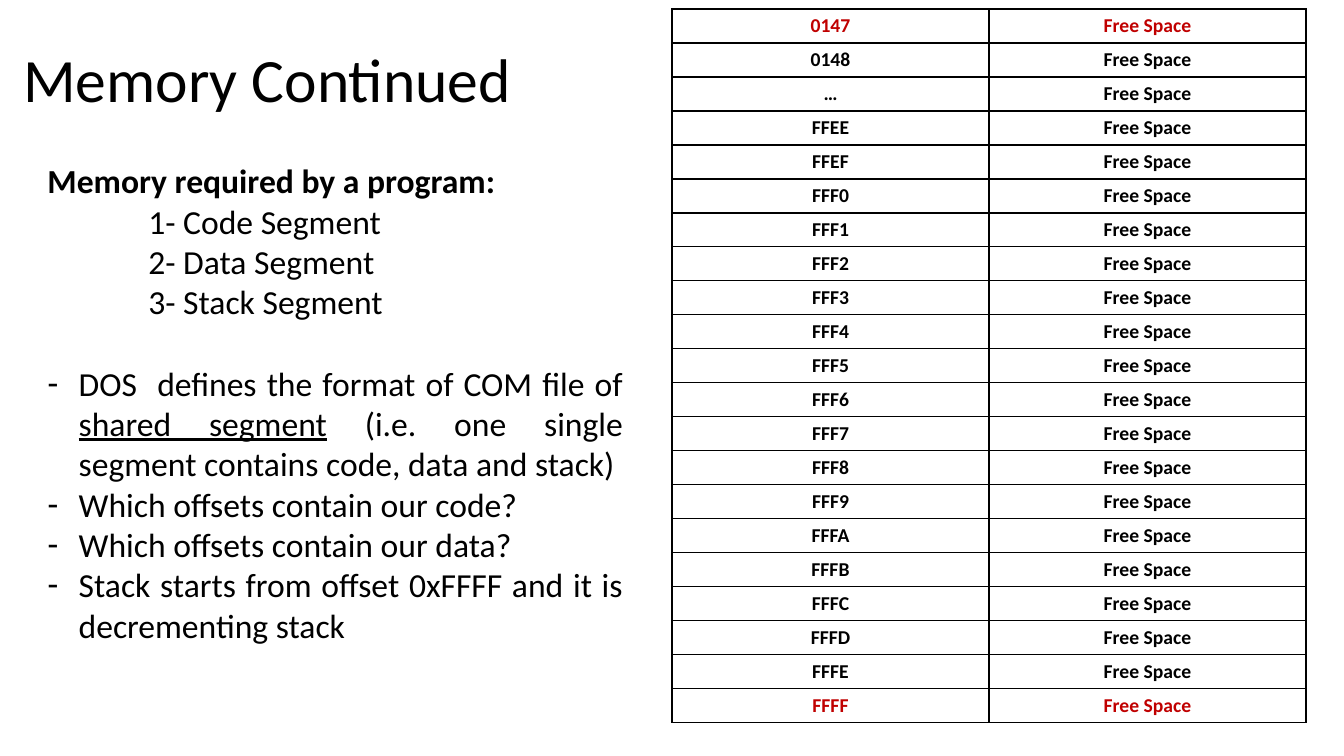
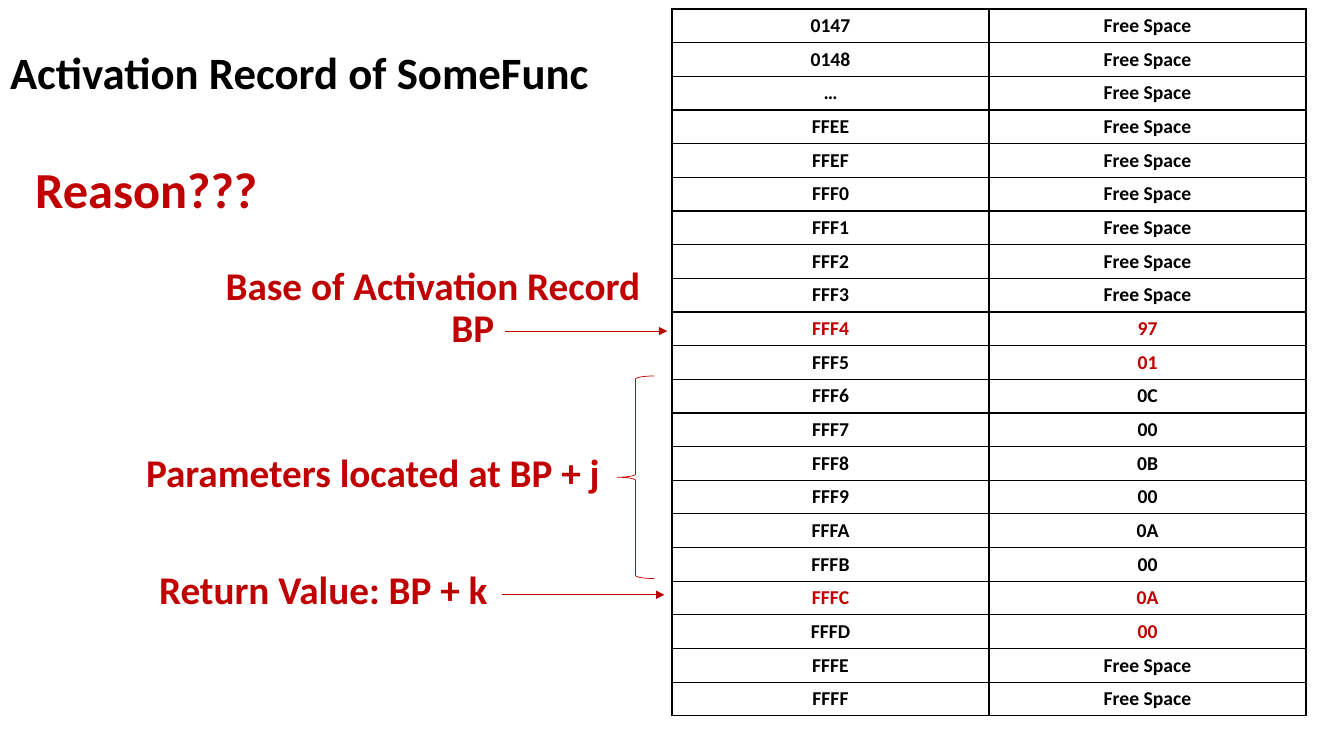
from lxml import etree
from pptx import Presentation
from pptx.dml.color import RGBColor
from pptx.enum.shapes import MSO_CONNECTOR, MSO_SHAPE
from pptx.enum.text import MSO_ANCHOR, MSO_AUTO_SIZE, PP_ALIGN
from pptx.oxml.ns import qn
from pptx.util import Inches, Pt

LEFT, CENTER, JUST = PP_ALIGN.LEFT, PP_ALIGN.CENTER, PP_ALIGN.JUSTIFY
MIDDLE = MSO_ANCHOR.MIDDLE
NO_FIT, GROW = MSO_AUTO_SIZE.NONE, MSO_AUTO_SIZE.SHAPE_TO_FIT_TEXT
STRAIGHT, BRACE = MSO_CONNECTOR.STRAIGHT, MSO_SHAPE.LEFT_BRACE

BLACK = RGBColor(0x00, 0x00, 0x00)
RED = RGBColor(0xC0, 0x00, 0x00)
FACE = "Calibri"
WIDE, HIGH = Inches(13.33), Inches(7.5)

CELL = {"size": Pt(14), "bold": True}
BODY = {"size": Pt(24), "bold": False}
LABEL = {"size": Pt(28), "bold": True}
SHOUT = {"size": Pt(36), "bold": True}
BIG = {"size": Pt(44), "bold": False}
HEAD = {"size": Pt(32), "bold": True}

FREE = "Free Space"
CELLS = ["0147", "0148", "…"] + [f"{n:04X}" for n in range(0xFFEE, 0x10000)]
STACK = {"FFF4": "97", "FFF5": "01", "FFF6": "0C", "FFF7": "00",
         "FFF8": "0B", "FFF9": "00", "FFFA": "0A", "FFFB": "00",
         "FFFC": "0A", "FFFD": "00"}
ENDS = {(key, col) for key in ("0147", "FFFF") for col in (0, 1)}
SAVED = {("FFF4", 0), ("FFF4", 1), ("FFF5", 1),
         ("FFFC", 0), ("FFFC", 1), ("FFFD", 1)}

PARTS = ["1- Code Segment", "2- Data Segment", "3- Stack Segment"]
POINTS = [
    ["DOS  defines the format of COM file of ", "shared segment",
     " (i.e. one single segment contains code, data and stack)"],
    ["Which offsets contain our code?"],
    ["Which offsets contain our data?"],
    ["Stack starts from offset 0xFFFF and it is decrementing stack"],
]
LINKED = "shared segment"


def spot(*box):
    """Turn percent of slide width and height, in turn, into lengths."""
    return [int(part * (HIGH if n % 2 else WIDE) / 100)
            for n, part in enumerate(box)]


def apply(item, form):
    for name, value in form.items():
        setattr(item, name, value)


def move(shape, *box):
    apply(shape, dict(zip(("left", "top", "width", "height"), spot(*box))))


def write(para, text, form, color=BLACK):
    run = para.add_run()
    run.text = text
    apply(run.font, {"name": FACE, **form})
    run.font.color.rgb = color
    return run


def add_title(slide, text, form, *box):
    title = slide.shapes.title
    move(title, *box)
    frame = title.text_frame
    apply(frame, {"vertical_anchor": MIDDLE, "auto_size": NO_FIT})
    para = frame.paragraphs[0]
    apply(para, {"alignment": LEFT, "line_spacing": 0.9})
    write(para, text, form)


def add_line(frame, texts, form, indent=0, mark=None, gap=0):
    """Add a justified body paragraph, hung on a bullet mark if given."""
    last = frame.paragraphs[-1]
    para = frame.add_paragraph() if last.runs else last
    apply(para, {"alignment": JUST, "line_spacing": 1.0,
                 "space_before": Pt(gap), "space_after": Pt(0)})
    props = para._p.get_or_add_pPr()
    props.set("marL", str(Inches(indent)))
    props.set("indent", str(-Inches(indent) if mark else 0))
    if mark:
        etree.SubElement(props, qn("a:buChar")).set("char", mark)
    else:
        etree.SubElement(props, qn("a:buNone"))
    for text in texts:
        write(para, text, {**form, "underline": text == LINKED})


def add_label(slide, text, form, *box, wrap=False):
    frame = slide.shapes.add_textbox(*spot(*box)).text_frame
    apply(frame, {"word_wrap": wrap, "auto_size": GROW})
    write(frame.paragraphs[0], text, form, RED)


def add_arrow(slide, *ends):
    arrow = slide.shapes.add_connector(STRAIGHT, *spot(*ends))
    arrow.line.color.rgb = RED
    arrow.line.width = Pt(0.5)
    tail = etree.SubElement(arrow.line._get_or_add_ln(), qn("a:tailEnd"))
    tail.set("type", "triangle")
    etree.SubElement(arrow._element.spPr, qn("a:effectLst"))


def add_brace(slide, *box):
    brace = slide.shapes.add_shape(BRACE, *spot(*box))
    brace.shadow.inherit = False
    brace.fill.background()
    brace.line.color.rgb = RED
    brace.line.width = Pt(0.5)


def rule(cell):
    """Draw thin black borders on all four sides of a cell."""
    props = cell._tc.get_or_add_tcPr()
    for side in ("L", "R", "T", "B"):
        edge = etree.SubElement(props, qn(f"a:ln{side}"))
        edge.set("w", str(Pt(1)))
        fill = etree.SubElement(edge, qn("a:solidFill"))
        etree.SubElement(fill, qn("a:srgbClr")).set("val", str(BLACK))


def add_memory(slide, values, marked, height):
    """Add the address table, with the marked (address, column) cells in red."""
    frame = slide.shapes.add_table(
        len(CELLS), 2, *spot(50, 1.2, 47.18, height))
    table = frame.table
    apply(table, {"first_row": False, "horz_banding": False})
    for row, key in enumerate(CELLS):
        for col, text in enumerate((key, values.get(key, FREE))):
            cell = table.cell(row, col)
            apply(cell, {"margin_top": Inches(0.04),
                         "margin_bottom": Inches(0.04),
                         "vertical_anchor": MIDDLE})
            rule(cell)
            cell.fill.background()
            para = cell.text_frame.paragraphs[0]
            para.alignment = CENTER
            write(para, text, CELL, RED if (key, col) in marked else BLACK)


def build_needs(deck):
    slide = deck.slides.add_slide(deck.slide_layouts[1])
    add_title(slide, "Memory Continued", BIG, 0.98, 1.2, 86.27, 19.33)
    add_memory(slide, {}, ENDS, 94.4)
    body = slide.placeholders[1]
    move(body, 2.78, 20.53, 44.33, 66)
    frame = body.text_frame
    frame.auto_size = NO_FIT
    add_line(frame, ["Memory required by a program:"], {**BODY, "bold": True})
    for text in PARTS:
        add_line(frame, [text], BODY, indent=1)
    for n, texts in enumerate(POINTS):
        add_line(frame, texts, BODY, indent=0.31, mark="-",
                 gap=0 if n else 29.3)


def build_record(deck):
    slide = deck.slides.add_slide(deck.slide_layouts[5])
    add_title(slide, "Activation Record of SomeFunc", HEAD, 0, 0.53, 45, 18.67)
    add_memory(slide, STACK, SAVED, 93.5)
    add_label(slide, "Reason???", SHOUT, 1.88, 20.27, 18.23, 9.47)
    add_label(slide, "Base of Activation Record", LABEL,
              16.05, 33.87, 33.6, 7.6)
    add_label(slide, "BP", LABEL, 32.85, 39.47, 4.73, 7.6)
    add_arrow(slide, 37.58, 43.8, 49.65, 43.8)
    add_label(slide, "Parameters located at BP + j", LABEL,
              10.13, 58.67, 37.13, 7.6, wrap=True)
    add_brace(slide, 45.9, 49.73, 2.78, 26.8)
    add_label(slide, "Return Value: BP + k", LABEL, 11.1, 74.13, 26.25, 7.6)
    add_arrow(slide, 37.35, 78.67, 49.43, 78.67)


def main():
    deck = Presentation()
    apply(deck, {"slide_width": WIDE, "slide_height": HIGH})
    build_needs(deck)
    build_record(deck)
    deck.save("out.pptx")


if __name__ == "__main__":
    main()
